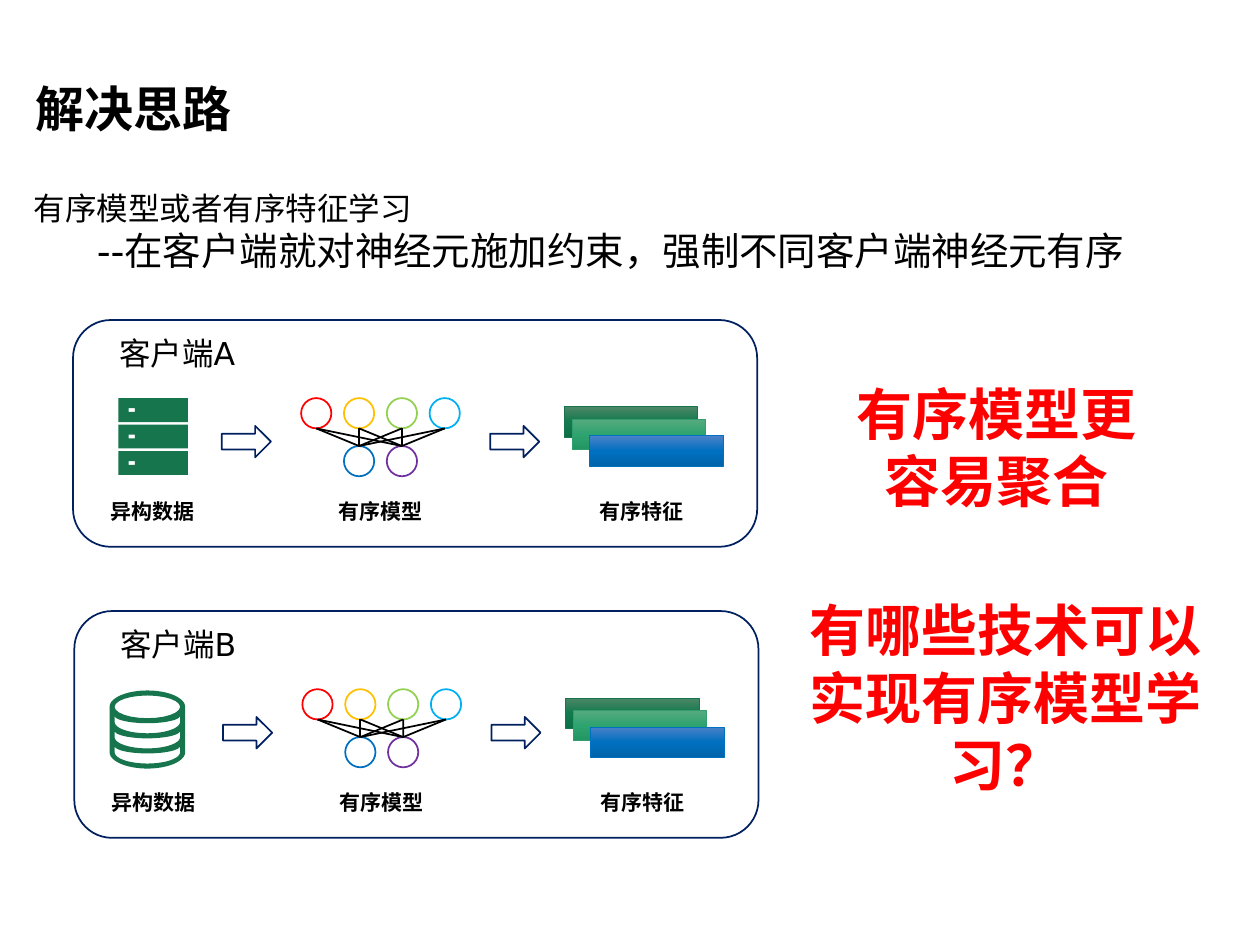
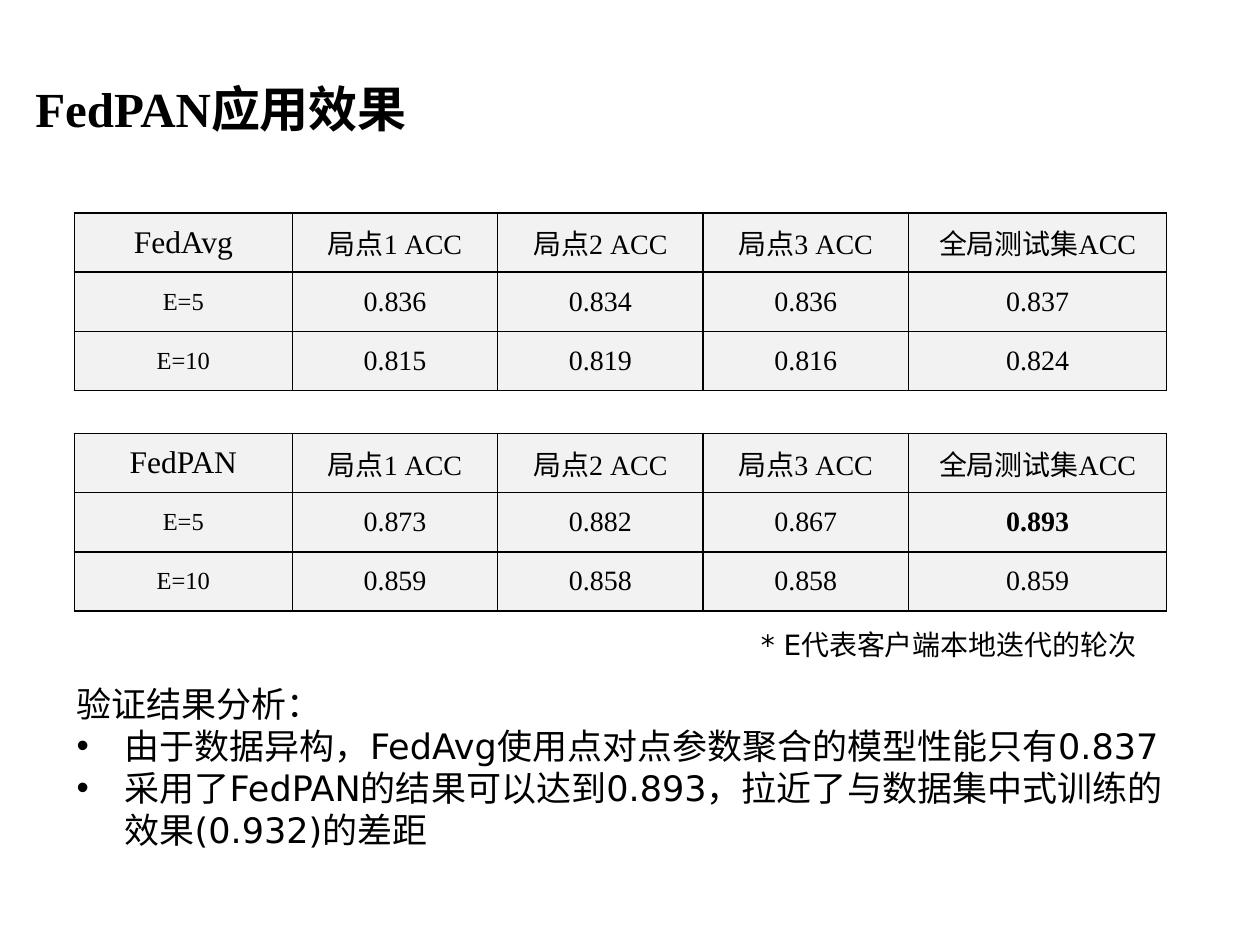
from copy import deepcopy
from math import cos, pi, sin
from typing import NamedTuple

from lxml.etree import SubElement
from pptx import Presentation
from pptx.dml.color import RGBColor
from pptx.enum.lang import MSO_LANGUAGE_ID as Lang
from pptx.enum.shapes import MSO_CONNECTOR, MSO_SHAPE as Shape
from pptx.enum.text import MSO_ANCHOR as Anchor, PP_ALIGN as Align
from pptx.oxml.ns import qn
from pptx.util import Inches, Pt

SANS, CJK, SERIF = "DejaVu Sans", "Noto Sans CJK SC", "Times New Roman"
BLACK, WHITE, RED, NAVY = "000000", "FFFFFF", "FF0000", "002060"
DATA_GREEN, CELL_GREY = "16754D", "F2F2F2"


class Box(NamedTuple):
    left: float
    top: float
    width: float
    height: float

    def shift(self, dx: float, dy: float) -> "Box":
        return self._replace(left=self.left + dx, top=self.top + dy)

    def emu(self) -> list:
        return [Inches(length) for length in self]


class Line(NamedTuple):
    text: str
    size: float
    level: int = 0
    bullet: bool = False


class FeatureLayer(NamedTuple):
    left: float
    top: float
    gradient: tuple
    outline: str


class Results(NamedTuple):
    method: str
    top: float
    rows: tuple
    best: str = ""


TITLE_BOX = Box(0.18, 0.1, 6.42, 1.04)

# Positions inside a client panel are measured from the panel's top left corner.
CLIENT_SIZE = (5.43, 1.8)
CLIENT_LABEL = Box(-0.16, 0.06, 1.97, 0.5)
STAGES = {"异构数据": 0.12, "有序模型": 1.93, "有序特征": 4.0}
ARROW_LEFTS = (1.18, 3.31)
LAYERS = (
    FeatureLayer(3.9, 0.69, ("4D8667", "117A4E", "0B7046"), "16754D"),
    FeatureLayer(3.96, 0.79, ("56AA7F", "2DA36F", "239663"), "329E6E"),
    FeatureLayer(4.1, 0.92, ("4B81C8", "0070C0", "0064AB"), "0070C0"),
)
NEURON, NEURON_STEP = 0.24, 0.34
INPUT_COLORS = ("FF0000", "FFC000", "92D050", "00B0F0")
OUTPUT_COLORS = ("0070C0", "7030A0")

COLUMNS = (1.73, 1.63, 1.63, 1.63, 2.05)
ROW_HEIGHT = 0.47
HEADINGS = ("局点1 ACC", "局点2 ACC", "局点3 ACC", "全局测试集ACC")
RESULTS = (
    Results("FedAvg", 1.69, (("E=5", "0.836", "0.834", "0.836", "0.837"),
                             ("E=10", "0.815", "0.819", "0.816", "0.824"))),
    Results("FedPAN", 3.44, (("E=5", "0.873", "0.882", "0.867", "0.893"),
                             ("E=10", "0.859", "0.858", "0.858", "0.859")), best="0.893"),
)


def rgb(color: str) -> RGBColor:
    return RGBColor.from_string(color)


def write(frame, *lines: Line, font: str = SANS, color: str = BLACK,
          bold: bool = False, align=Align.LEFT) -> None:
    """Fill a text frame with one paragraph per line."""
    frame.word_wrap = True
    for number, line in enumerate(lines):
        paragraph = frame.add_paragraph() if number else frame.paragraphs[0]
        paragraph.alignment = align
        paragraph.level = line.level
        if line.bullet:
            props = paragraph._p.get_or_add_pPr()
            props.set("marL", str(Inches(0.38)))
            props.set("indent", str(-Inches(0.38)))
            SubElement(props, qn("a:buFont"), typeface="Arial")
            SubElement(props, qn("a:buChar"), char="•")
        run = paragraph.add_run()
        run.text = line.text
        run.font.name, run.font.size, run.font.bold = font, Pt(line.size), bold
        run.font.color.rgb = rgb(color)
        run.font.language_id = Lang.SIMPLIFIED_CHINESE


def add_text(slide, box: Box, *lines: Line, **style) -> None:
    write(slide.shapes.add_textbox(*box.emu()).text_frame, *lines, **style)


def add_titled_slide(deck, title: str, font: str):
    slide = deck.slides.add_slide(deck.slide_layouts[5])
    heading = slide.shapes.title
    heading.left, heading.top, heading.width, heading.height = TITLE_BOX.emu()
    heading.text_frame.vertical_anchor = Anchor.BOTTOM
    write(heading.text_frame, Line(title, 28), font=font, bold=True)
    return slide


def add_outlined(slide, preset, box: Box, outline: str, weight: float = 1):
    shape = slide.shapes.add_shape(preset, *box.emu())
    shape.shadow.inherit = False
    shape.fill.solid()
    shape.fill.fore_color.rgb = rgb(WHITE)
    shape.line.color.rgb = rgb(outline)
    shape.line.width = Pt(weight)
    return shape


def add_feature_layer(slide, layer: FeatureLayer, x: float, y: float) -> None:
    box = Box(layer.left, layer.top, 1.06, 0.24).shift(x, y)
    bar = add_outlined(slide, Shape.RECTANGLE, box, layer.outline, 0.5)
    bar.fill.gradient()
    bar.fill.gradient_angle = 270
    stop_list = bar._element.spPr.find(qn("a:gradFill")).find(qn("a:gsLst"))
    stop_list.insert(1, deepcopy(stop_list[0]))
    for stop, position, color in zip(bar.fill.gradient_stops, (0, 0.5, 1), layer.gradient):
        stop.position = position
        stop.color.rgb = rgb(color)


def add_network(slide, x: float, y: float) -> None:
    """Draw four input neurons, each linked to both output neurons."""
    def neuron_row(left: float, top: float, colors: tuple) -> list:
        return [add_outlined(slide, Shape.OVAL,
                             Box(x + left + i * NEURON_STEP, y + top, NEURON, NEURON), color)
                for i, color in enumerate(colors)]

    inputs = neuron_row(1.81, 0.62, INPUT_COLORS)
    outputs = neuron_row(1.81 + NEURON_STEP, 1.0, OUTPUT_COLORS)
    for target in outputs:
        for source in inputs:
            start = source.left + source.width // 2, source.top + source.height
            link = slide.shapes.add_connector(MSO_CONNECTOR.STRAIGHT, *start, *start)
            link.end_connect(target, 0)
            link.line.color.rgb = rgb(BLACK)
            link.line.width = Pt(1)
            SubElement(link._element.spPr, qn("a:effectLst"))


def add_icon(slide, contours: list, x: float, y: float) -> None:
    """Draw closed contours as one outline; inner contours become holes."""
    placed = [[(Inches(x + px), Inches(y + py)) for px, py in points] for points in contours]
    builder = slide.shapes.build_freeform(*placed[0][0])
    for number, points in enumerate(placed):
        if number:
            builder.move_to(*points[0])
        builder.add_line_segments(points[1:], close=True)
    icon = builder.convert_to_shape()
    icon.shadow.inherit = False
    icon.fill.solid()
    icon.fill.fore_color.rgb = rgb(DATA_GREEN)
    icon.line.fill.background()


def rectangle(left: float, top: float, width: float, height: float) -> list:
    right, bottom = left + width, top + height
    return [(left, top), (right, top), (right, bottom), (left, bottom)]


def arc(cy: float, rx: float, ry: float, start: float, end: float) -> list:
    """Points on an ellipse about the cylinder axis, angles in half turns, clockwise."""
    steps = 24
    angles = [pi * (start + (end - start) * i / steps) for i in range(steps + 1)]
    return [(0.58 + rx * cos(a), cy + ry * sin(a)) for a in angles]


def server_contours() -> list:
    tops = [0.62 + 0.21 * i for i in range(3)]
    return ([rectangle(0.36, top, 0.55, 0.19) for top in tops]
            + [rectangle(0.44, top + 0.08, 0.05, 0.03) for top in tops])


def database_contours() -> list:
    body = arc(0.76, 0.3, 0.13, 1, 2) + arc(1.12, 0.3, 0.13, 0, 1)
    lid = arc(0.76, 0.26, 0.09, 0, 2)
    bands = [arc(top, 0.26, 0.06, 1, 0) + arc(top + 0.05, 0.26, 0.09, 0, 1)
             for top in (0.83 + 0.12 * i for i in range(3))]
    return [body, lid, *bands]


def add_client(slide, name: str, x: float, y: float, data_icon: list) -> None:
    add_outlined(slide, Shape.ROUNDED_RECTANGLE, Box(x, y, *CLIENT_SIZE), NAVY)
    add_text(slide, CLIENT_LABEL.shift(x, y), Line(name, 18), align=Align.CENTER)
    for layer in LAYERS:
        add_feature_layer(slide, layer, x, y)
    add_network(slide, x, y)
    add_icon(slide, data_icon, x, y)
    for left in ARROW_LEFTS:
        add_outlined(slide, Shape.RIGHT_ARROW, Box(x + left, y + 0.84, 0.39, 0.25), NAVY)
    for stage, left in STAGES.items():
        add_text(slide, Box(x + left, y + 1.37, 1.02, 0.3), Line(stage, 12),
                 bold=True, align=Align.CENTER)


def format_cell(cell, text: str, size: float, bold: bool) -> None:
    cell.vertical_anchor = Anchor.MIDDLE
    write(cell.text_frame, Line(text, size), font=SERIF, bold=bold, align=Align.CENTER)
    props = cell._tc.get_or_add_tcPr()
    for side in ("lnL", "lnR", "lnT", "lnB"):
        border = SubElement(props, qn(f"a:{side}"), w=str(Pt(1)))
        SubElement(SubElement(border, qn("a:solidFill")), qn("a:srgbClr"), val=BLACK)
    cell.fill.solid()
    cell.fill.fore_color.rgb = rgb(CELL_GREY)


def add_results(slide, results: Results) -> None:
    content = ((results.method, *HEADINGS), *results.rows)
    box = Box(0.59, results.top, sum(COLUMNS), ROW_HEIGHT * len(content))
    table = slide.shapes.add_table(len(content), len(COLUMNS), *box.emu()).table
    table.first_row = table.horz_banding = False
    for column, width in zip(table.columns, COLUMNS):
        column.width = Inches(width)
    for r, values in enumerate(content):
        table.rows[r].height = Inches(ROW_HEIGHT)
        for c, value in enumerate(values):
            size = 16 if c else (14 if r else 18)
            format_cell(table.cell(r, c), value, size, value == results.best)


def build_approach(deck) -> None:
    slide = add_titled_slide(deck, "解决思路", CJK)
    add_client(slide, "客户端A", 0.58, 2.54, server_contours())
    add_client(slide, "客户端B", 0.59, 4.85, database_contours())
    add_text(slide, Box(0.17, 1.45, 9.25, 0.88),
             Line("有序模型或者有序特征学习", 18),
             Line("--在客户端就对神经元施加约束，强制不同客户端神经元有序", 22, level=1))
    for claim, box in (("有序模型更容易聚合", Box(6.61, 2.96, 2.6, 1.18)),
                       ("有哪些技术可以实现有序模型学习？", Box(6.31, 4.68, 3.34, 1.72))):
        add_text(slide, box, Line(claim, 32), color=RED, bold=True, align=Align.CENTER)


def build_effect(deck) -> None:
    slide = add_titled_slide(deck, "FedPAN应用效果", SERIF)
    for results in RESULTS:
        add_results(slide, results)
    add_text(slide, Box(0.51, 5.37, 9.05, 1.45),
             Line("验证结果分析：", 20),
             Line("由于数据异构，FedAvg使用点对点参数聚合的模型性能只有0.837", 20, bullet=True),
             Line("采用了FedPAN的结果可以达到0.893，拉近了与数据集中式训练的效果(0.932)的差距",
                  20, bullet=True))
    add_text(slide, Box(5.94, 4.93, 3.3, 0.37), Line("* E代表客户端本地迭代的轮次", 16))


def main() -> None:
    deck = Presentation()
    deck.slide_width, deck.slide_height = Inches(10), Inches(7.5)
    build_approach(deck)
    build_effect(deck)
    deck.save("out.pptx")


if __name__ == "__main__":
    main()
